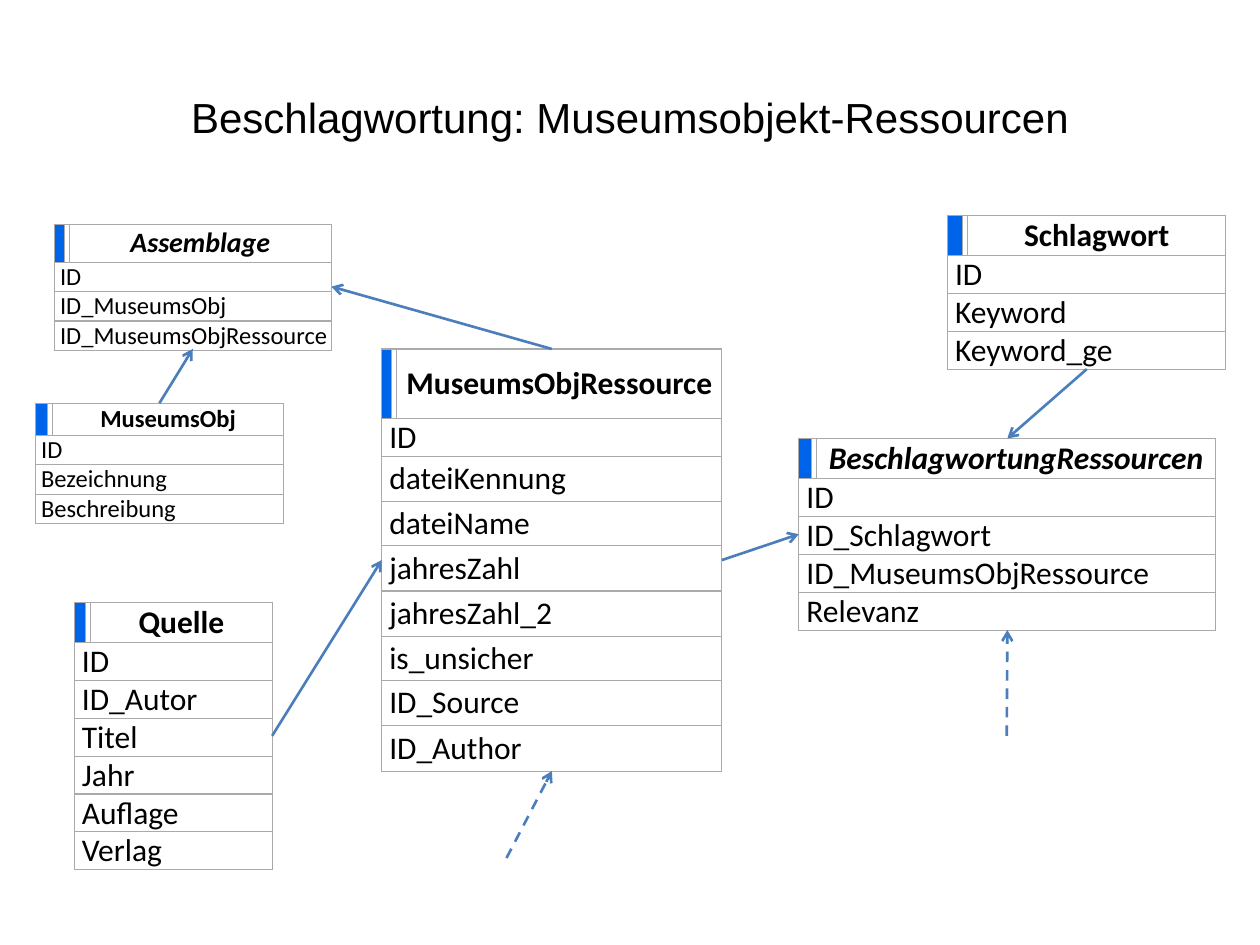
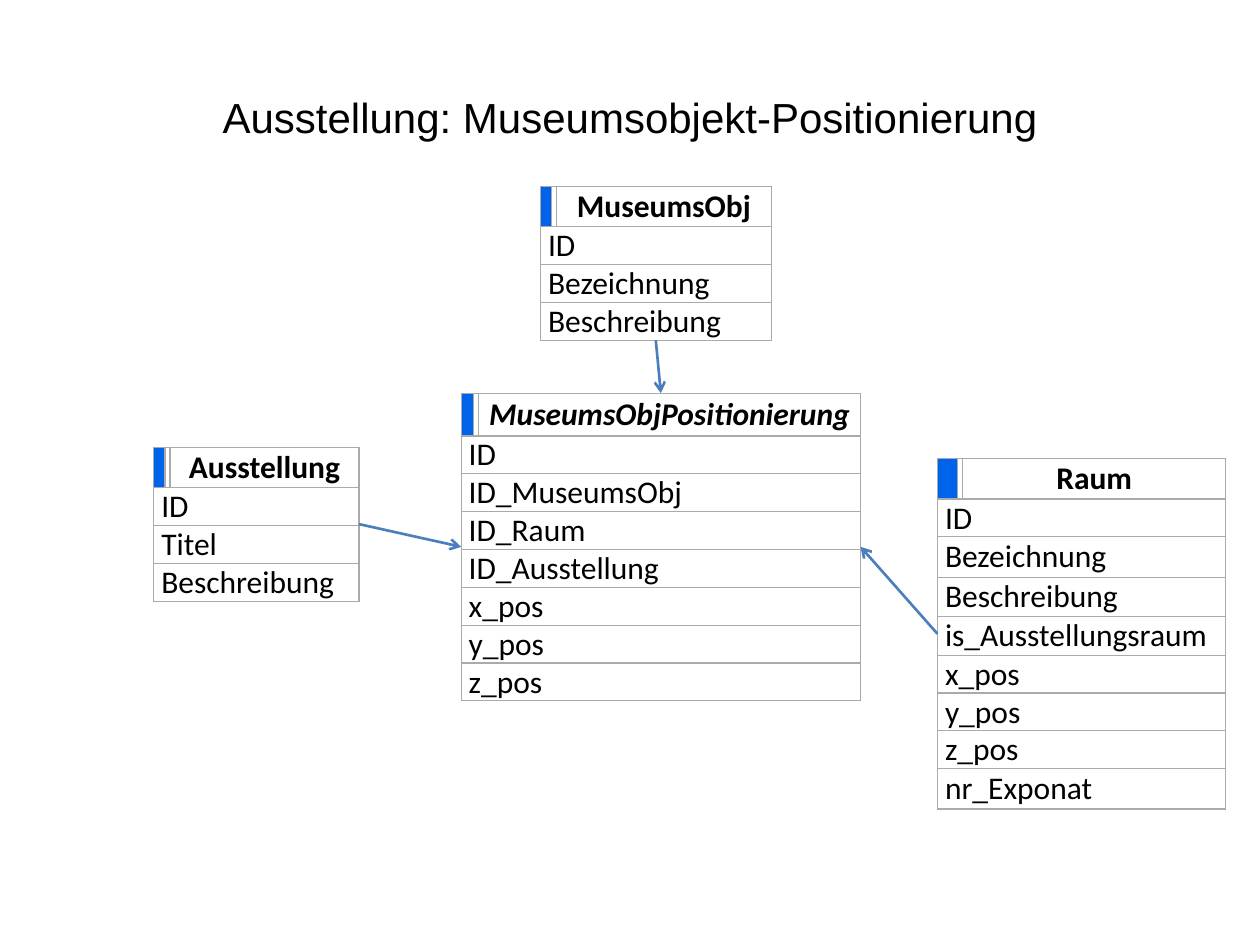
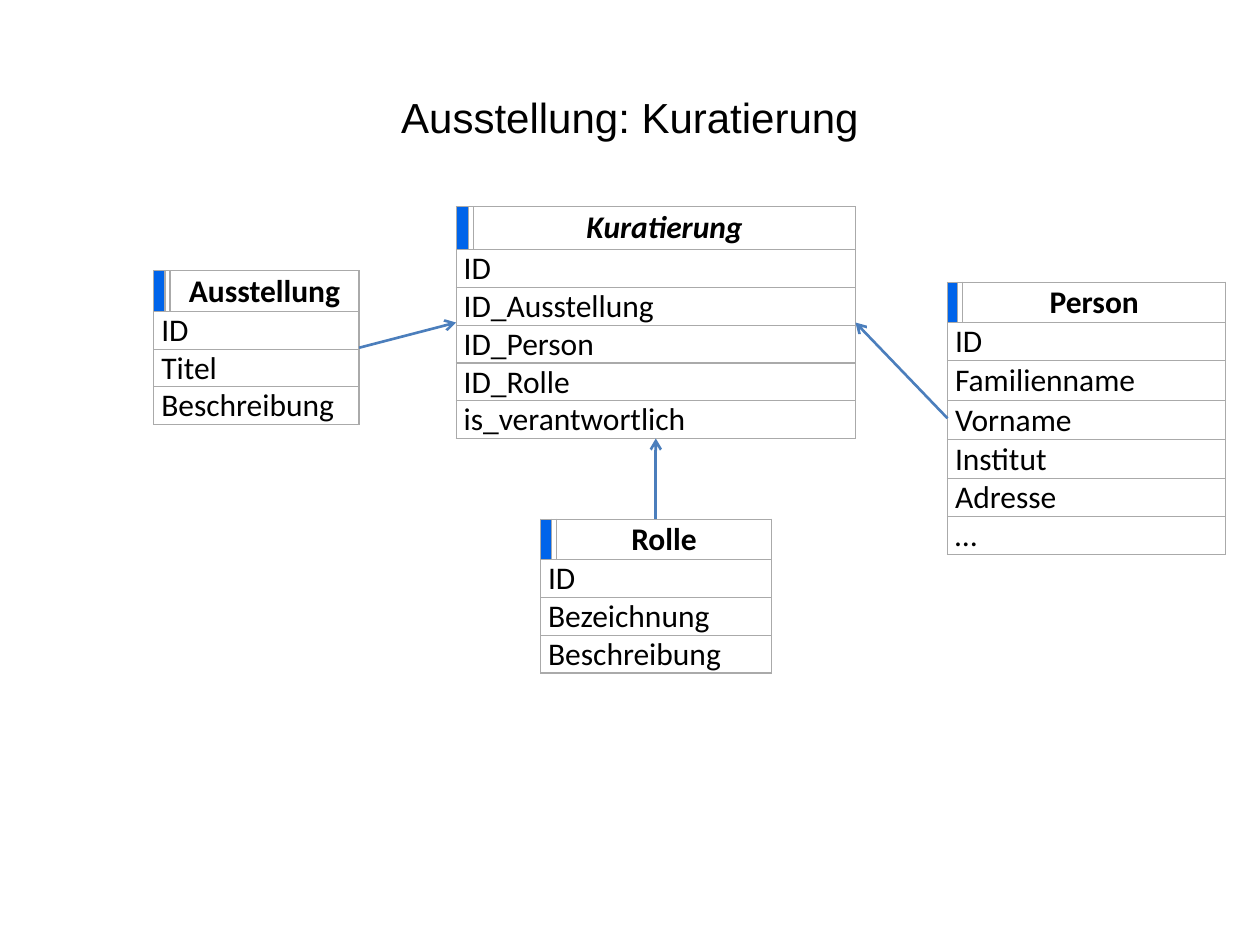
from dataclasses import dataclass, replace

from lxml import etree
from pptx import Presentation
from pptx import util as u
from pptx.dml.color import RGBColor
from pptx.enum import dml, shapes, text
from pptx.oxml.ns import qn

PX = 9144  # EMU per px, 100 px to the inch


def px(length: float) -> u.Emu:
    return u.Emu(round(length * PX))


@dataclass(frozen=True)
class Theme:
    ink: str = "000000"
    paper: str = "FFFFFF"
    key: str = "0064EA"
    border: str = "AAAAAA"
    link: str = "4B7EBC"
    title_font: str = "Arial"
    entity_font: str = "Calibri"
    title_size: int = 24
    entity_size: int = 18
    small_size: int = 14
    border_width: float = 0.75
    link_width: float = 1.5


THEME = Theme()
KEY_GAP = 4  # narrow column between the key marker and the entity name


@dataclass(frozen=True)
class Entity:
    """One database table; heights lists every row that departs from the rule."""
    name: str
    left: int
    top: int
    width: int
    key_width: int
    fields: tuple[str, ...]
    linking: bool = False
    size: int = THEME.entity_size
    name_size: int = THEME.entity_size
    heights: tuple[int, ...] = ()

    @property
    def rows(self) -> list[int]:
        natural = [int(self.name_size * 1.7) + 2]
        natural += [int(self.size * 1.7)] * len(self.fields)
        return list(self.heights) + natural[len(self.heights):]

    def side(self, edge: str) -> tuple[float, float]:
        height = sum(self.rows)
        x, y = {"top": (0.5, 0), "bottom": (0.5, 1),
                "left": (0, 0.5), "right": (1, 0.5)}[edge]
        return self.left + x * self.width, self.top + y * height


@dataclass(frozen=True)
class Link:
    start: tuple[float, float]
    end: tuple[float, float]
    dashed: bool = False


@dataclass(frozen=True)
class Diagram:
    title: str
    entities: tuple[Entity, ...]
    links: tuple[Link, ...]


# Drawing
def style_font(font, face: str, size: int, bold: bool = False, italic: bool = False) -> None:
    font.name, font.size = face, u.Pt(size)
    font.bold, font.italic = bold, italic
    font.color.rgb = RGBColor.from_string(THEME.ink)


def draw_title(slide, title: str) -> None:
    frame = slide.shapes.add_textbox(px(50), px(30), px(900), px(125)).text_frame
    frame.word_wrap = True
    frame.vertical_anchor = text.MSO_ANCHOR.MIDDLE
    heading = frame.paragraphs[0]
    heading.text = title
    heading.alignment = text.PP_ALIGN.CENTER
    style_font(heading.font, THEME.title_font, THEME.title_size)


def style_cell(cell, fill: str, margin: int = 0) -> None:
    properties = cell._tc.get_or_add_tcPr()
    for edge in ("a:lnL", "a:lnR", "a:lnT", "a:lnB"):
        line = etree.SubElement(properties, qn(edge), w=str(u.Pt(THEME.border_width)))
        color = etree.SubElement(line, qn("a:solidFill"))
        etree.SubElement(color, qn("a:srgbClr"), val=THEME.border)
    cell.fill.solid()
    cell.fill.fore_color.rgb = RGBColor.from_string(fill)
    cell.margin_left = cell.margin_right = px(margin)
    cell.margin_top = cell.margin_bottom = px(margin)
    cell.vertical_anchor = text.MSO_ANCHOR.MIDDLE


def draw_entity(slide, entity: Entity) -> None:
    rows = entity.rows
    columns = (entity.key_width, KEY_GAP, entity.width - entity.key_width - KEY_GAP)
    grid = slide.shapes.add_table(len(rows), len(columns), px(entity.left), px(entity.top),
                                  px(entity.width), px(sum(rows))).table
    grid.first_row = grid.horz_banding = False
    for column, width in zip(grid.columns, columns):
        column.width = px(width)
    for row, height in zip(grid.rows, rows):
        row.height = px(height)
    for cell in grid.iter_cells():
        style_cell(cell, THEME.paper)
        style_font(cell.text_frame.paragraphs[0].font, THEME.entity_font, entity.size)

    # Header: key marker, gap and name
    key, name = grid.cell(0, 0), grid.cell(0, 2)
    key.fill.fore_color.rgb = RGBColor.from_string(THEME.key)
    name.margin_left = name.margin_right = name.margin_top = name.margin_bottom = px(1)
    heading = name.text_frame.paragraphs[0]
    heading.text = entity.name
    heading.alignment = text.PP_ALIGN.CENTER
    style_font(heading.font, THEME.entity_font, entity.name_size, True, entity.linking)

    # Fields span the whole width
    for index, field in enumerate(entity.fields, start=1):
        cell = grid.cell(index, 0)
        cell.merge(grid.cell(index, 2))
        cell.margin_left = px(entity.size / 3)
        cell.text_frame.paragraphs[0].text = field


def draw_link(slide, link: Link) -> None:
    arrow = slide.shapes.add_connector(shapes.MSO_CONNECTOR.STRAIGHT,
                                       *map(px, link.start), *map(px, link.end))
    arrow.line.width = u.Pt(THEME.link_width)
    arrow.line.color.rgb = RGBColor.from_string(THEME.link)
    if link.dashed:
        arrow.line.dash_style = dml.MSO_LINE.DASH
    etree.SubElement(arrow.line._get_or_add_ln(), qn("a:tailEnd"), type="arrow")
    etree.SubElement(arrow._element.spPr, qn("a:effectLst"))


def draw_diagram(deck, diagram: Diagram) -> None:
    slide = deck.slides.add_slide(deck.slide_layouts[6])
    draw_title(slide, diagram.title)
    for entity in diagram.entities:
        draw_entity(slide, entity)
    for link in diagram.links:
        draw_link(slide, link)


# Keywords for museum object resources
def keyword_diagram() -> Diagram:
    tagging = Entity("BeschlagwortungRessourcen", 634, 348, 331, 10,
                     ("ID", "ID_Schlagwort", "ID_MuseumsObjRessource", "Relevanz"),
                     linking=True)
    resource = Entity("MuseumsObjRessource", 303, 277, 270, 8,
                      ("ID", "dateiKennung", "dateiName", "jahresZahl", "jahresZahl_2",
                       "is_unsicher", "ID_Source", "ID_Author"),
                      heights=(55, 30, 36, 35, 36, 36, 35, 36, 36))
    keyword = Entity("Schlagwort", 752, 171, 221, 12, ("ID", "Keyword", "Keyword_ge"))
    museum_object = Entity("MuseumsObj", 28, 320, 197, 10,
                           ("ID", "Bezeichnung", "Beschreibung"),
                           size=THEME.small_size, name_size=THEME.small_size)
    assemblage = Entity("Assemblage", 43, 178, 220, 8,
                        ("ID", "ID_MuseumsObj", "ID_MuseumsObjRessource"), linking=True,
                        size=THEME.small_size, name_size=16, heights=(30,))
    source = Entity("Quelle", 59, 478, 157, 9,
                    ("ID", "ID_Autor", "Titel", "Jahr", "Auflage", "Verlag"))
    return Diagram(
        "Beschlagwortung: Museumsobjekt-Ressourcen",
        (tagging, resource, keyword, museum_object, assemblage, source),
        (Link(museum_object.side("top"), assemblage.side("bottom")),
         Link(resource.side("top"), assemblage.side("right")),
         Link(keyword.side("bottom"), tagging.side("top")),
         Link(resource.side("right"), tagging.side("left")),
         Link(source.side("right"), resource.side("left")),
         Link((402, 681), resource.side("bottom"), dashed=True),
         Link((799, 584), tagging.side("bottom"), dashed=True)))


# Exhibition diagrams share the exhibition entity
EXHIBITION = Entity("Ausstellung", 122, 355, 163, 9, ("ID", "Titel", "Beschreibung"))


def position_diagram() -> Diagram:
    position = Entity("MuseumsObjPositionierung", 366, 312, 317, 10,
                      ("ID", "ID_MuseumsObj", "ID_Raum", "ID_Ausstellung",
                       "x_pos", "y_pos", "z_pos"), linking=True, heights=(34,))
    museum_object = Entity("MuseumsObj", 429, 148, 183, 9,
                           ("ID", "Bezeichnung", "Beschreibung"))
    room = Entity("Raum", 744, 364, 229, 16,
                  ("ID", "Bezeichnung", "Beschreibung", "is_Ausstellungsraum",
                   "x_pos", "y_pos", "z_pos", "nr_Exponat"),
                  heights=(32, 30, 32, 31, 31, 30, 30, 30, 32))
    return Diagram(
        "Ausstellung: Museumsobjekt-Positionierung",
        (EXHIBITION, position, museum_object, room),
        (Link(museum_object.side("bottom"), position.side("top")),
         Link(room.side("left"), position.side("right")),
         Link(EXHIBITION.side("right"), position.side("left"))))


def curation_diagram() -> Diagram:
    exhibition = replace(EXHIBITION, top=215)
    curation = Entity("Kuratierung", 362, 164, 317, 10,
                      ("ID", "ID_Ausstellung", "ID_Person", "ID_Rolle",
                       "is_verantwortlich"), linking=True, heights=(34,))
    role = Entity("Rolle", 429, 412, 183, 9, ("ID", "Bezeichnung", "Beschreibung"))
    person = Entity("Person", 752, 224, 221, 8,
                    ("ID", "Familienname", "Vorname", "Institut", "Adresse", "…"),
                    heights=(32, 30, 32, 31, 31))
    return Diagram(
        "Ausstellung: Kuratierung",
        (exhibition, curation, role, person),
        (Link(role.side("top"), curation.side("bottom")),
         Link(person.side("left"), curation.side("right")),
         Link(exhibition.side("right"), curation.side("left"))))


def main() -> None:
    deck = Presentation()
    deck.slide_width, deck.slide_height = px(1000), px(750)
    for diagram in (keyword_diagram(), position_diagram(), curation_diagram()):
        draw_diagram(deck, diagram)
    deck.save("out.pptx")


if __name__ == "__main__":
    main()
